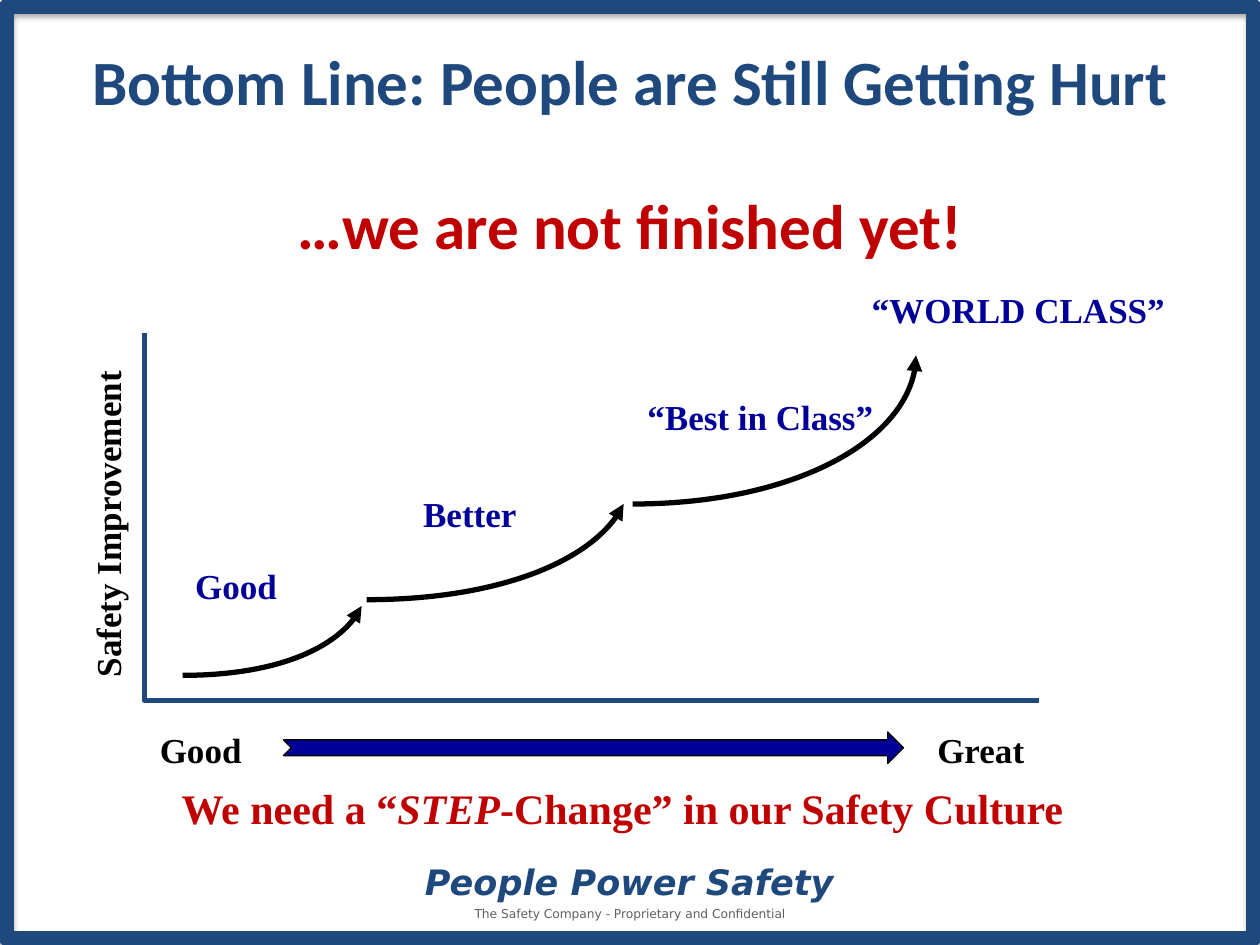
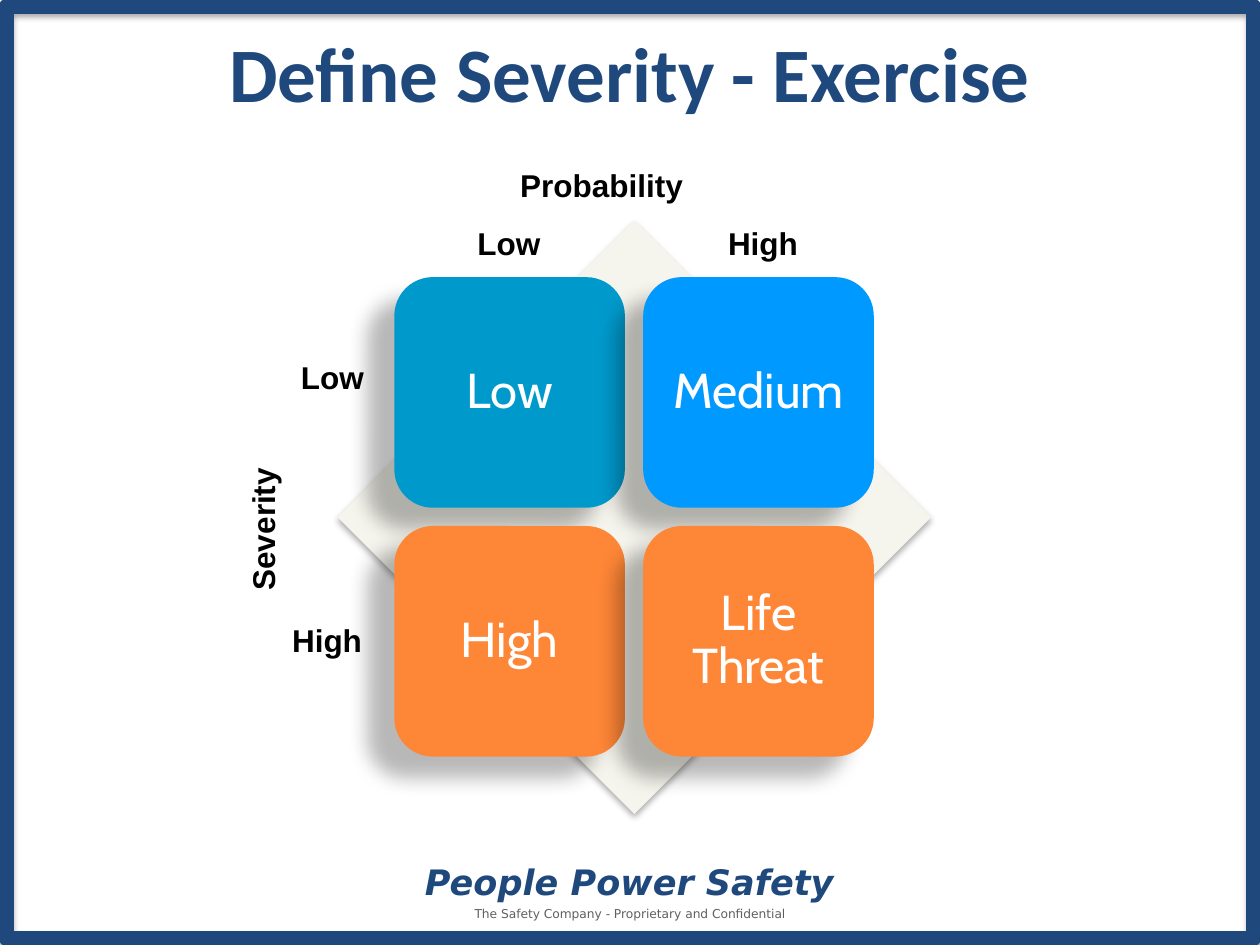
import lxml.etree
import pptx
import pptx.dml.color
import pptx.enum.shapes
import pptx.enum.text
import pptx.oxml.ns
import pptx.util

Inches = pptx.util.Inches
Shapes = pptx.enum.shapes.MSO_SHAPE
Align = pptx.enum.text.PP_ALIGN
Anchor = pptx.enum.text.MSO_ANCHOR
qn = pptx.oxml.ns.qn

COLORS = {
    "brand": "1F497D", "gray": "606060", "black": "000000", "white": "FFFFFF",
    "navy": "000099", "red": "C00000", "diamond": "F5F4ED",
    "teal": "0099CC", "blue": "0099FF", "orange": "FE8637",
}
SERIF = "Times New Roman"
TITLE_ONLY = 5


def rgb(name):
    return pptx.dml.color.RGBColor.from_string(COLORS[name])


def inches(*lengths):
    return [Inches(length) for length in lengths]


def write(frame, text, font="Calibri", size=20, color="black", bold=False, italic=False,
          align=Align.LEFT, anchor=Anchor.TOP, margins=(0.1, 0.05), spacing=None, emphasis=""):
    frame.word_wrap = True
    frame.auto_size = pptx.enum.text.MSO_AUTO_SIZE.NONE
    frame.vertical_anchor = anchor
    frame.margin_left = frame.margin_right = Inches(margins[0])
    frame.margin_top = frame.margin_bottom = Inches(margins[1])
    para = frame.paragraphs[0]
    para.alignment = align
    if spacing:
        para.line_spacing = spacing
    for part in text.partition(emphasis) if emphasis else [text]:
        span = para.add_run()
        span.text = part
        span.font.name = font
        span.font.size = pptx.util.Pt(size)
        span.font.bold = bold
        span.font.italic = italic or part == emphasis
        span.font.color.rgb = rgb(color)


def add_text(page, box, text, rotation=0, **style):
    label = page.shapes.add_textbox(*inches(*box))
    label.rotation = rotation
    write(label.text_frame, text, **style)


def paint(shape, fill=None, line=None, weight=0.75):
    shape.shadow.inherit = False
    if fill:
        shape.fill.solid()
        shape.fill.fore_color.rgb = rgb(fill)
    else:
        shape.fill.background()
    if line:
        shape.line.color.rgb = rgb(line)
        shape.line.width = pptx.util.Pt(weight)
    else:
        shape.line.fill.background()


def cast_shadow(shape, opacity, blur, distance, angle):
    effects = shape._element.spPr.find(qn("a:effectLst"))
    shadow = lxml.etree.SubElement(
        effects, qn("a:outerShdw"), blurRad=str(pptx.util.Pt(blur)),
        dist=str(pptx.util.Pt(distance)), dir=str(angle * 60000),
        algn="ctr", rotWithShape="0")
    tint = lxml.etree.SubElement(shadow, qn("a:srgbClr"), val=COLORS["black"])
    lxml.etree.SubElement(tint, qn("a:alpha"), val=str(opacity * 1000))


def add_outline(page, origin, points, color):
    start, *rest = [inches(origin[0] + x, origin[1] + y) for x, y in points]
    builder = page.shapes.build_freeform(*start)
    builder.add_line_segments(rest, close=False)
    outline = builder.convert_to_shape()
    paint(outline, line=color, weight=3)
    return outline


def add_curved_arrow(page, origin, points):
    arrow = add_outline(page, origin, points, "black")
    route = arrow._element.find(".//" + qn("a:path"))
    segments = route.findall(qn("a:lnTo"))
    curve = lxml.etree.SubElement(route, qn("a:cubicBezTo"))
    for segment in segments:
        curve.append(segment[0])
        route.remove(segment)
    line = arrow._element.spPr.find(qn("a:ln"))
    lxml.etree.SubElement(line, qn("a:tailEnd"), type="triangle")


def add_page(deck, title, title_box, title_size):
    page = deck.slides.add_slide(deck.slide_layouts[TITLE_ONLY])
    frame = page.shapes.add_shape(Shapes.RECTANGLE, *inches(0.05, 0.05, 9.9, 7.4))
    paint(frame, line="brand", weight=8.75)
    cast_shadow(frame, 35, 3.1, 1.8, 90)
    heading = page.shapes.title
    heading.left, heading.top, heading.width, heading.height = inches(*title_box)
    write(heading.text_frame, title, size=title_size, color="brand", bold=True,
          align=Align.CENTER, anchor=Anchor.MIDDLE)
    add_text(page, (3.31, 7.14, 3.38, 0.22), "The Safety Company - Proprietary and Confidential",
             font="DejaVu Sans", size=7, color="gray", align=Align.CENTER)
    add_text(page, (3.24, 6.86, 3.51, 0.27), "People Power Safety", font="DejaVu Sans",
             color="brand", bold=True, italic=True, align=Align.CENTER,
             anchor=Anchor.MIDDLE, margins=(0, 0))
    return page


def add_growth_chart(page, box):
    left, top, width, height = box
    add_outline(page, (left, top), [(0, 0), (0, height), (width, height)], "brand")
    steps = [
        [(0.3, 2.72), (0.99, 2.72), (1.58, 2.49), (1.72, 2.17)],
        [(1.76, 2.12), (2.75, 2.12), (3.6, 1.8), (3.8, 1.36)],
        [(3.87, 1.36), (5.11, 1.36), (6.12, 0.83), (6.12, 0.18)],
    ]
    for step in steps:
        add_curved_arrow(page, (left, top), step)
    scale = page.shapes.add_shape(
        Shapes.NOTCHED_RIGHT_ARROW, *inches(left + 1.1, top + 3.17, 4.92, 0.25))
    paint(scale, "navy", "black")
    labels = [
        ("Good", 0.3, 1.79, 0.95, "navy"),
        ("Better", 2.11, 1.22, 1, "navy"),
        ("“Best in Class”", 3.89, 0.45, 2.1, "navy"),
        ("“WORLD CLASS”", 5.67, -0.4, 2.6, "navy"),
        ("Good", 0.02, 3.09, 0.9, "black"),
        ("Great", 6.19, 3.09, 0.95, "black"),
    ]
    for text, x, y, label_width, color in labels:
        add_text(page, (left + x, top + y, label_width, 0.44), text,
                 font=SERIF, color=color, bold=True)
    add_text(page, (left - 1.62, top + 1.3, 2.65, 0.44), "Safety Improvement", rotation=270,
             font=SERIF, bold=True, align=Align.CENTER)


def add_severity_matrix(page, box):
    left, top, size = box
    diamond = page.shapes.add_shape(Shapes.DIAMOND, *inches(left, top, size, size))
    paint(diamond, "diamond")
    cast_shadow(diamond, 32, 3.5, 2.2, 90)
    tile, pitch, inset = 1.83, 1.975, 0.45
    tiles = [("Low", "teal"), ("Medium", "blue"), ("High", "orange"), ("Life Threat", "orange")]
    for index, (text, color) in enumerate(tiles):
        row, column = divmod(index, 2)
        cell = page.shapes.add_shape(
            Shapes.ROUNDED_RECTANGLE,
            *inches(left + inset + column * pitch, top + inset + row * pitch, tile, tile))
        paint(cell, color)
        cast_shadow(cell, 28, 11.8, 19.7, 141)
        write(cell.text_frame, text, font="Cabin", size=28, color="white", spacing=0.9,
              align=Align.CENTER, anchor=Anchor.MIDDLE, margins=(0.12, 0.12))
    labels = [
        ("Probability", 1.35, -0.48, 2.01, 0.52, 0),
        ("Severity", -1.32, 1.99, 1.57, 0.52, 270),
        ("Low", -0.39, 1.04, 0.75, 0.4, 0),
        ("High", -0.46, 3.13, 0.8, 0.4, 0),
        ("Low", 1.01, -0.02, 0.75, 0.4, 0),
        ("High", 3, -0.02, 0.8, 0.4, 0),
    ]
    for text, x, y, width, height, rotation in labels:
        add_text(page, (left + x, top + y, width, height), text, rotation=rotation,
                 font="Arial", size=18, bold=True)


def build_improvement_page(deck):
    page = add_page(deck, "Bottom Line: People are Still Getting Hurt", (0, 0.15, 10, 0.98), 36)
    add_growth_chart(page, (1.15, 2.64, 7.1, 2.92))
    add_text(page, (0, 1.43, 10, 0.71), "…we are not finished yet!",
             size=36, color="red", bold=True, align=Align.CENTER)
    add_text(page, (0.06, 6.16, 9.76, 0.5), "We need a “STEP-Change” in our Safety Culture",
             font=SERIF, size=24, color="red", bold=True, align=Align.CENTER, emphasis="STEP")


def build_severity_page(deck):
    page = add_page(deck, "Define Severity - Exercise", (0, 0.14, 10, 0.86), 44)
    add_severity_matrix(page, (2.68, 1.75, 4.71))


def main():
    deck = pptx.Presentation()
    deck.slide_width, deck.slide_height = inches(10, 7.5)
    build_improvement_page(deck)
    build_severity_page(deck)
    deck.save("out.pptx")


if __name__ == "__main__":
    main()
